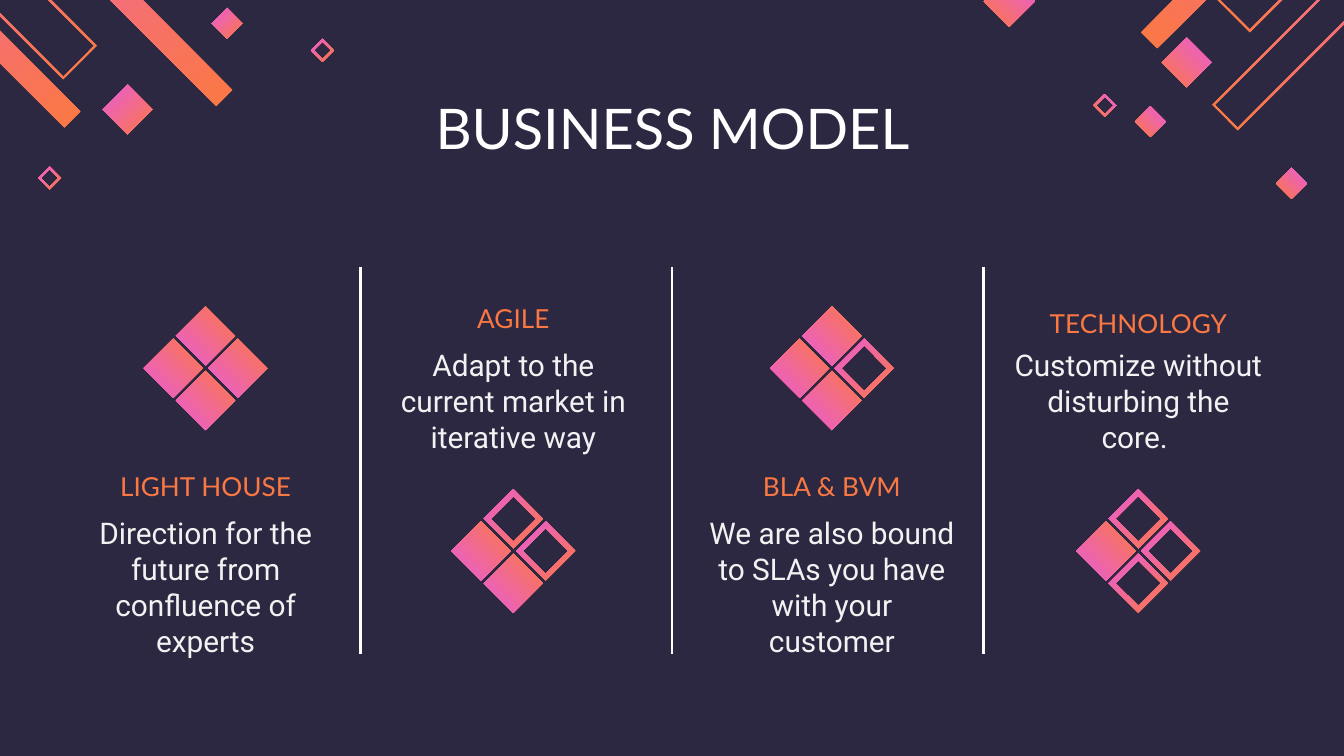
from lxml.etree import SubElement
from pptx import Presentation
from pptx.dml.color import RGBColor
from pptx.enum.shapes import MSO_CONNECTOR, MSO_SHAPE
from pptx.enum.text import MSO_ANCHOR, MSO_AUTO_SIZE, PP_ALIGN
from pptx.oxml.ns import qn
from pptx.util import Inches, Pt

NAVY, WHITE, PALE = "2D2842", "FFFFFF", "F2F2F2"
ORANGE, PINK = "FB7843", "E85CDB"
TO_LOWER_LEFT, TO_UPPER_LEFT, TO_UPPER_RIGHT = 225, 135, 45

COLUMN_WIDTH, CLUSTER_SIZE, TILE_SIZE = 2.08, 0.92, 0.44
COLUMNS = [
    (0.49, True, "LIGHT HOUSE", "Direction for the future from confluence of experts", ()),
    (2.78, False, "AGILE", "Adapt to the current market in iterative way", ("top", "right")),
    (5.15, True, "BLA & BVM", "We are also bound to SLAs you have with your customer", ("right",)),
    (7.43, False, "TECHNOLOGY", "Customize without disturbing the core. ", ("top", "right", "bottom")),
]
LEFT_BARS = [(-1.23, -1.61, 1.95, 0.25, 0.02), (-1.74, -1.51, 2.34, 0.12, 0), (-0.61, -1.67, 2.34, 0.12, 0)]
LEFT_DIAMONDS = [(1.69, 0.06, 0.23, 0), (2.4, 0.29, 0.17, 0.02), (0.37, 1.24, 0.17, 0.02), (0.95, 0.63, 0.37, 0)]
RIGHT_BARS = [(11, -1.96, 0.25, 1.95, 0.02), (10.84, -2.11, 0.12, 2.35, 0), (11.24, -1.44, 0.19, 2.22, 0.02)]
RIGHT_DIAMONDS = [(9.61, 1.25, 0.23, 0), (8.22, 0.7, 0.17, 0.02), (8.83, 0.28, 0.37, 0),
                  (8.56, 0.79, 0.23, 0), (7.51, -0.18, 0.38, 0)]


def color(value):
    return RGBColor.from_string(value)


def paint(shape, angle):
    shape.shadow.inherit = False
    shape.line.fill.background()
    shape.fill.gradient()
    shape.fill.gradient_angle = angle
    for stop, value in zip(shape.fill.gradient_stops, (ORANGE, PINK)):
        stop.color.rgb = color(value)


def tilted_corners(x, y, down_right, down_left):
    corners = [
        (x, y),
        (x + down_right, y + down_right),
        (x + down_right - down_left, y + down_right + down_left),
        (x - down_left, y + down_left),
    ]
    return [(Inches(across), Inches(down)) for across, down in corners]


def add_tilted(slide, x, y, down_right, down_left, rim, angle):
    outer = tilted_corners(x, y, down_right, down_left)
    builder = slide.shapes.build_freeform(*outer[0])
    builder.add_line_segments(outer[1:], close=True)
    if rim:
        inner = tilted_corners(x, y + rim, down_right - rim, down_left - rim)
        builder.move_to(*inner[0])
        builder.add_line_segments(inner[1:], close=True)
    paint(builder.convert_to_shape(), angle)


def add_corner(slide, bars, diamonds, angle):
    for x, y, down_right, down_left, rim in bars:
        add_tilted(slide, x, y, down_right, down_left, rim, angle)
    for x, y, width, rim in diamonds:
        add_tilted(slide, x, y, width / 2, width / 2, rim, angle)


def add_divider(slide, x, top, bottom):
    divider = slide.shapes.add_connector(
        MSO_CONNECTOR.STRAIGHT, Inches(x), Inches(top), Inches(x), Inches(bottom))
    divider.line.color.rgb = color(WHITE)
    divider.line.width = Pt(1.5)
    SubElement(divider._element.spPr, qn("a:effectLst"))


def write(frame, wording, font, size, value, anchor=MSO_ANCHOR.TOP):
    frame.word_wrap = True
    frame.auto_size = MSO_AUTO_SIZE.NONE
    frame.vertical_anchor = anchor
    frame.margin_left = frame.margin_right = Inches(0.1)
    frame.margin_top = frame.margin_bottom = Inches(0.1)
    paragraph = frame.paragraphs[0]
    paragraph.alignment = PP_ALIGN.CENTER
    run = paragraph.add_run()
    run.text = wording
    run.font.name = font
    run.font.size = Pt(size)
    run.font.color.rgb = color(value)
    return paragraph


def add_title(slide, left, top, width, height):
    title = slide.shapes.title
    title.left, title.top = Inches(left), Inches(top)
    title.width, title.height = Inches(width), Inches(height)
    write(title.text_frame, "BUSINESS MODEL", "Lato", 30, WHITE, MSO_ANCHOR.MIDDLE)


def add_caption(slide, left, top, heading, description):
    heading_box = slide.shapes.add_textbox(
        Inches(left), Inches(top), Inches(COLUMN_WIDTH), Inches(0.44))
    heading_line = write(heading_box.text_frame, heading, "Lato", 14, ORANGE)
    if heading == "TECHNOLOGY":
        heading_line.line_spacing = 1.15
    description_box = slide.shapes.add_textbox(
        Inches(left), Inches(top + 0.33), Inches(COLUMN_WIDTH), Inches(0.99))
    write(description_box.text_frame, description, "Roboto", 16, PALE)


def add_cluster(slide, left, top, hollow):
    step = (CLUSTER_SIZE - TILE_SIZE) / 2
    places = {"top": (1, 0), "right": (2, 1), "left": (0, 1), "bottom": (1, 2)}
    for place, (column, row) in places.items():
        x, y = left + column * step, top + row * step
        if place in hollow:
            half = TILE_SIZE / 2
            add_tilted(slide, x + half, y, half, half, 0.05, TO_UPPER_LEFT)
        else:
            tile = slide.shapes.add_shape(
                MSO_SHAPE.DIAMOND, Inches(x), Inches(y), Inches(TILE_SIZE), Inches(TILE_SIZE))
            paint(tile, TO_LOWER_LEFT)


def add_column(slide, left, cluster_first, heading, description, hollow):
    cluster_top, caption_top = (2.28, 3.4) if cluster_first else (3.64, 2.15)
    add_caption(slide, left, caption_top, heading, description)
    add_cluster(slide, left + (COLUMN_WIDTH - CLUSTER_SIZE) / 2, cluster_top, hollow)


def main():
    presentation = Presentation()
    presentation.slide_width = Inches(10)
    presentation.slide_height = Inches(10 * 9 / 16)
    slide = presentation.slides.add_slide(presentation.slide_layouts[5])
    slide.background.fill.solid()
    slide.background.fill.fore_color.rgb = color(NAVY)
    for x in (2.68, 5, 7.32):
        add_divider(slide, x, 1.99, 4.87)
    add_corner(slide, LEFT_BARS, LEFT_DIAMONDS, TO_UPPER_LEFT)
    add_corner(slide, RIGHT_BARS, RIGHT_DIAMONDS, TO_UPPER_RIGHT)
    add_title(slide, 0.66, 0.59, 8.69, 0.71)
    for column in COLUMNS:
        add_column(slide, *column)
    presentation.save("out.pptx")


if __name__ == "__main__":
    main()
